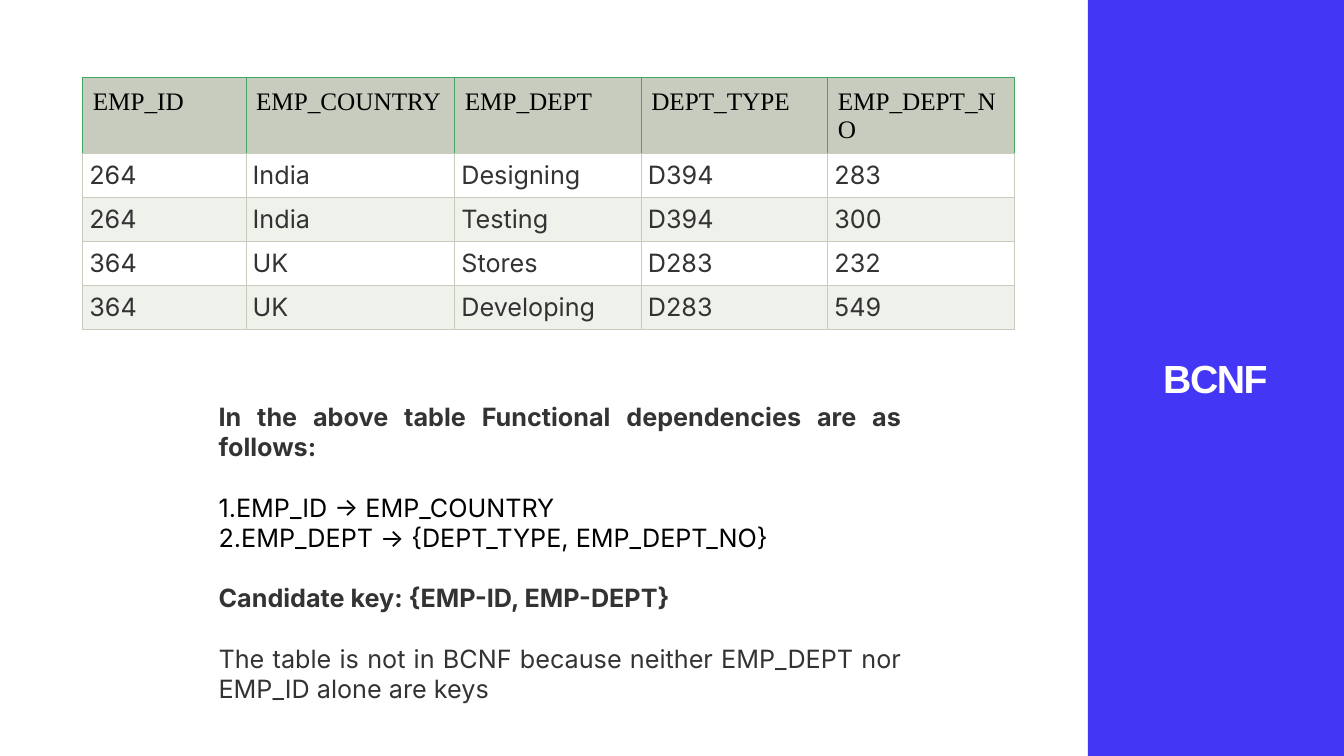
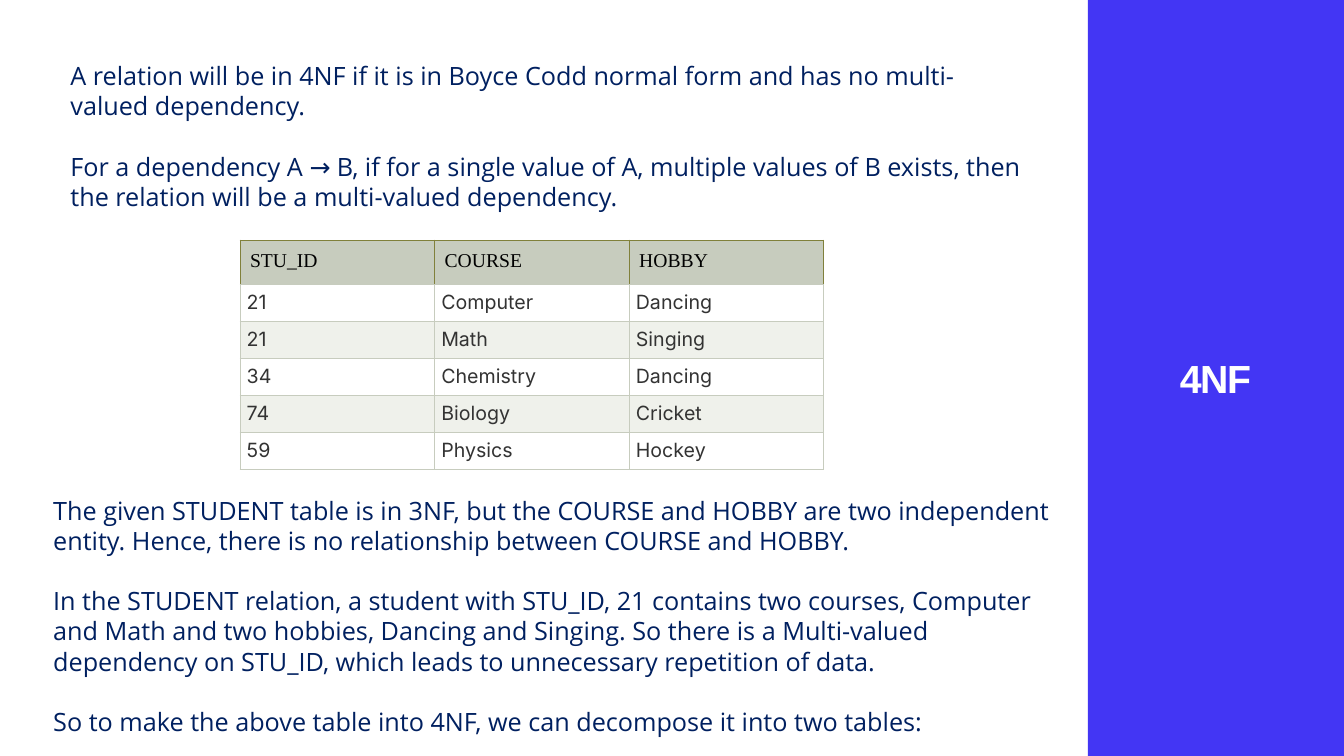
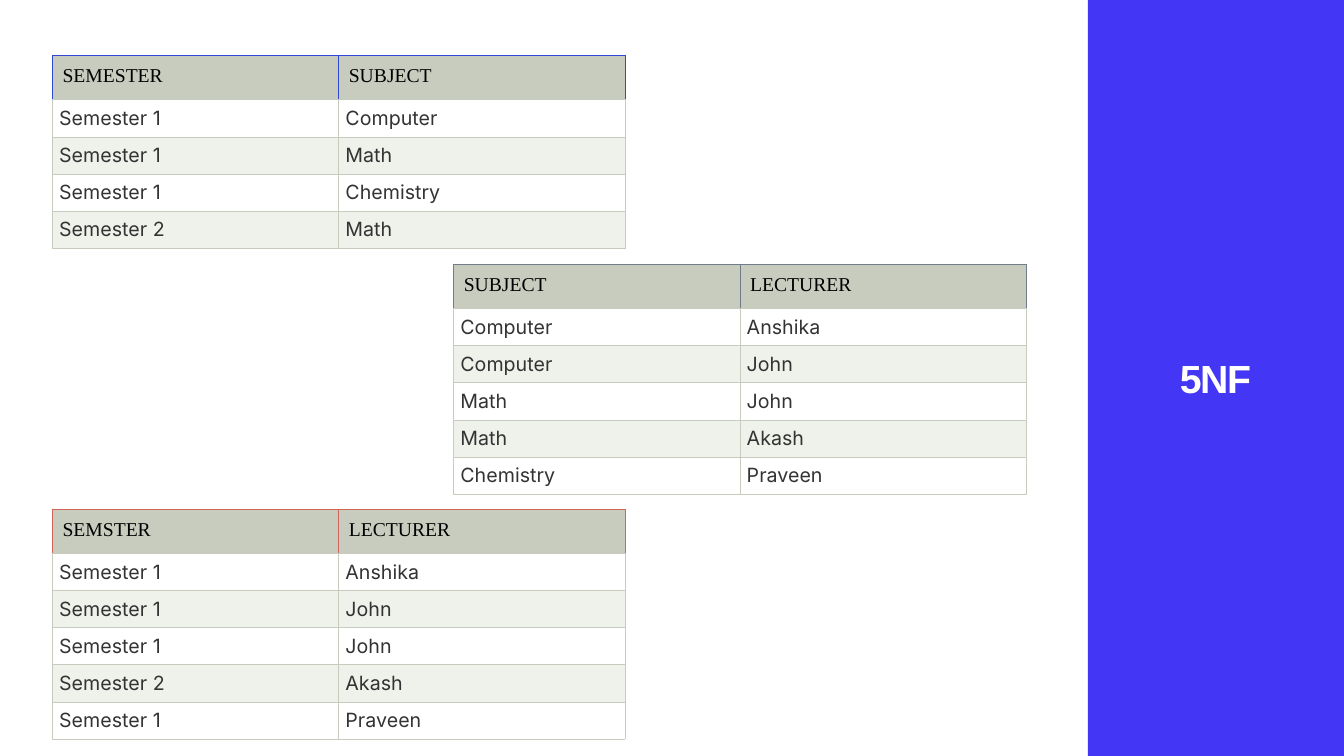
from lxml import etree
from pptx import Presentation
from pptx import util as u
from pptx.dml.color import RGBColor
from pptx.enum import shapes, text
from pptx.oxml import ns

INDIGO = RGBColor(0x43, 0x36, 0xF4)
WHITE = RGBColor(0xFF, 0xFF, 0xFF)
BLACK = RGBColor(0, 0, 0)
INK = RGBColor(0x33, 0x33, 0x33)
NAVY = RGBColor(0x00, 0x20, 0x60)
SAGE = RGBColor(0xC7, 0xCC, 0xBE)
PALE_SAGE = RGBColor(0xEF, 0xF1, 0xEB)
GREEN = RGBColor(0x40, 0xA8, 0x61)
OLIVE = RGBColor(0x80, 0x80, 0x3B)
BLUE = RGBColor(0x30, 0x48, 0xD4)
SLATE = RGBColor(0x70, 0x7C, 0x89)
RED = RGBColor(0xD0, 0x64, 0x58)

TITLE_FONT, HEADER_FONT = "Arial", "Times New Roman"
CELL_FONT, PROSE_FONT = "Inter", "Open Sans"
LINE = u.Pt(21.6)


def style(p, font, size, color, bold=False):
    """Format every run of a paragraph."""
    for r in p.runs:
        r.font.name, r.font.size, r.font.bold = font, u.Pt(size), bold
        r.font.color.rgb = color


def new_slide(prs, title):
    """Add a slide with the coloured side band and its title."""
    slide = prs.slides.add_slide(prs.slide_layouts[5])
    band = slide.shapes.add_shape(shapes.MSO_SHAPE.RECTANGLE, u.Inches(10.79), 0,
                                  u.Inches(2.54), prs.slide_height)
    band.shadow.inherit = False
    band.fill.solid()
    band.fill.fore_color.rgb = INDIGO
    band.line.fill.background()
    slide.shapes._spTree.insert(2, band._element)

    sp = slide.shapes.title
    sp.left, sp.top, sp.width, sp.height = map(u.Inches, (10.18, 2.99, 3.75, 1.52))
    tf = sp.text_frame
    tf.text = title
    tf.auto_size = text.MSO_AUTO_SIZE.NONE
    tf.vertical_anchor = text.MSO_ANCHOR.MIDDLE
    tf.margin_left = tf.margin_top = tf.margin_right = tf.margin_bottom = 0
    p = tf.paragraphs[0]
    p.alignment = text.PP_ALIGN.CENTER
    style(p, TITLE_FONT, 28, WHITE, True)
    p.runs[0].font._element.set("spc", "-100")
    return slide


def add_paragraphs(slide, box, items, font, align):
    """Add a text box of (text, colour, bold, gap before, numbered) paragraphs."""
    tf = slide.shapes.add_textbox(*map(u.Inches, box)).text_frame
    tf.word_wrap = True
    for i, (words, color, bold, gap, numbered) in enumerate(items):
        p = tf.paragraphs[0] if i == 0 else tf.add_paragraph()
        p.text = words
        p.alignment = align
        p.line_spacing = LINE
        p.space_before = LINE if gap else 0
        style(p, font, 18, color, bold)
        if numbered:
            pPr = p._p.get_or_add_pPr()
            etree.SubElement(pPr, ns.qn("a:buAutoNum"), type="arabicPeriod")


def add_prose(slide, box, paragraphs):
    """Add navy paragraphs set one line apart."""
    items = [(words, NAVY, False, i > 0, False) for i, words in enumerate(paragraphs)]
    add_paragraphs(slide, box, items, PROSE_FONT, text.PP_ALIGN.LEFT)


def set_borders(cell, outer, bottom):
    """Draw thin borders round a cell, with its own colour below."""
    tcPr = cell._tc.get_or_add_tcPr()
    for side in "LRTB":
        ln = etree.SubElement(tcPr, ns.qn("a:ln" + side), w=str(u.Pt(0.6)))
        fill = etree.SubElement(ln, ns.qn("a:solidFill"))
        color = bottom if side == "B" else outer
        etree.SubElement(fill, ns.qn("a:srgbClr"), val=str(color))


def add_data_table(slide, left, top, widths, rows, accent, size=14,
                   header_height=0.44, row_height=0.36):
    """Add a table with a sage header and striped rows."""
    heights = [header_height] + [row_height] * (len(rows) - 1)
    table = slide.shapes.add_table(
        len(rows), len(widths), u.Inches(left), u.Inches(top),
        u.Inches(sum(widths)), u.Inches(sum(heights))).table
    table.first_row = table.horz_banding = False
    for column, width in zip(table.columns, widths):
        column.width = u.Inches(width)
    for i, (values, height) in enumerate(zip(rows, heights)):
        table.rows[i].height = u.Inches(height)
        header = i == 0
        margin = u.Inches(0.1) if header else u.Pt(4.8)
        for j, value in enumerate(values):
            cell = table.cell(i, j)
            cell.text = value
            cell.margin_left = cell.margin_right = margin
            cell.margin_top = cell.margin_bottom = margin
            set_borders(cell, accent if header else SAGE, SAGE)
            cell.fill.solid()
            cell.fill.fore_color.rgb = SAGE if header else (WHITE if i % 2 else PALE_SAGE)
            p = cell.text_frame.paragraphs[0]
            p.alignment = text.PP_ALIGN.LEFT if header else text.PP_ALIGN.JUSTIFY
            style(p, HEADER_FONT if header else CELL_FONT, size, BLACK if header else INK)


def build_bcnf(prs):
    """Build the BCNF slide."""
    slide = new_slide(prs, "BCNF")
    add_data_table(slide, 0.82, 0.77, [1.62, 2.07, 1.85, 1.85, 1.85], [
        ("EMP_ID", "EMP_COUNTRY", "EMP_DEPT", "DEPT_TYPE", "EMP_DEPT_NO"),
        ("264", "India", "Designing", "D394", "283"),
        ("264", "India", "Testing", "D394", "300"),
        ("364", "UK", "Stores", "D283", "232"),
        ("364", "UK", "Developing", "D283", "549"),
    ], GREEN, 18, 0.75, 0.43)
    add_paragraphs(slide, (2.07, 3.93, 6.97, 3.12), [
        ("In the above table Functional dependencies are as follows:", INK, True, False, False),
        ("EMP_ID → EMP_COUNTRY", BLACK, False, True, True),
        ("EMP_DEPT → {DEPT_TYPE, EMP_DEPT_NO}", BLACK, False, False, True),
        ("Candidate key: {EMP-ID, EMP-DEPT}", INK, True, True, False),
        ("The table is not in BCNF because neither EMP_DEPT nor EMP_ID alone are keys",
         INK, False, True, False),
    ], CELL_FONT, text.PP_ALIGN.JUSTIFY)


def build_4nf(prs):
    """Build the 4NF slide."""
    slide = new_slide(prs, "4NF")
    add_prose(slide, (0.6, 0.55, 9.65, 1.62), [
        "A relation will be in 4NF if it is in Boyce Codd normal form and has no "
        "multi-valued dependency.",
        "For a dependency A → B, if for a single value of A, multiple values of B "
        "exists, then the relation will be a multi-valued dependency.",
    ])
    add_data_table(slide, 2.38, 2.38, [1.93] * 3, [
        ("STU_ID", "COURSE", "HOBBY"),
        ("21", "Computer", "Dancing"),
        ("21", "Math", "Singing"),
        ("34", "Chemistry", "Dancing"),
        ("74", "Biology", "Cricket"),
        ("59", "Physics", "Hockey"),
    ], OLIVE)
    add_prose(slide, (0.43, 4.86, 10.36, 2.52), [
        "The given STUDENT table is in 3NF, but the COURSE and HOBBY are two "
        "independent entity. Hence, there is no relationship between COURSE and HOBBY.",
        "In the STUDENT relation, a student with STU_ID, 21 contains two courses, "
        "Computer and Math and two hobbies, Dancing and Singing. So there is a "
        "Multi-valued dependency on STU_ID, which leads to unnecessary repetition of data.",
        "So to make the above table into 4NF, we can decompose it into two tables:",
    ])


def build_5nf(prs):
    """Build the 5NF slide."""
    slide = new_slide(prs, "5NF")
    widths = [2.84] * 2
    add_data_table(slide, 0.52, 0.55, widths, [
        ("SEMESTER", "SUBJECT"),
        ("Semester 1", "Computer"),
        ("Semester 1", "Math"),
        ("Semester 1", "Chemistry"),
        ("Semester 2", "Math"),
    ], BLUE)
    add_data_table(slide, 4.5, 2.62, widths, [
        ("SUBJECT", "LECTURER"),
        ("Computer", "Anshika"),
        ("Computer", "John"),
        ("Math", "John"),
        ("Math", "Akash"),
        ("Chemistry", "Praveen"),
    ], SLATE)
    add_data_table(slide, 0.52, 5.05, widths, [
        ("SEMSTER", "LECTURER"),
        ("Semester 1", "Anshika"),
        ("Semester 1", "John"),
        ("Semester 1", "John"),
        ("Semester 2", "Akash"),
        ("Semester 1", "Praveen"),
    ], RED)


def main():
    """Build and save the presentation."""
    prs = Presentation()
    prs.slide_width, prs.slide_height = u.Inches(13.33), u.Inches(7.5)
    build_bcnf(prs)
    build_4nf(prs)
    build_5nf(prs)
    prs.save("out.pptx")


if __name__ == "__main__":
    main()
